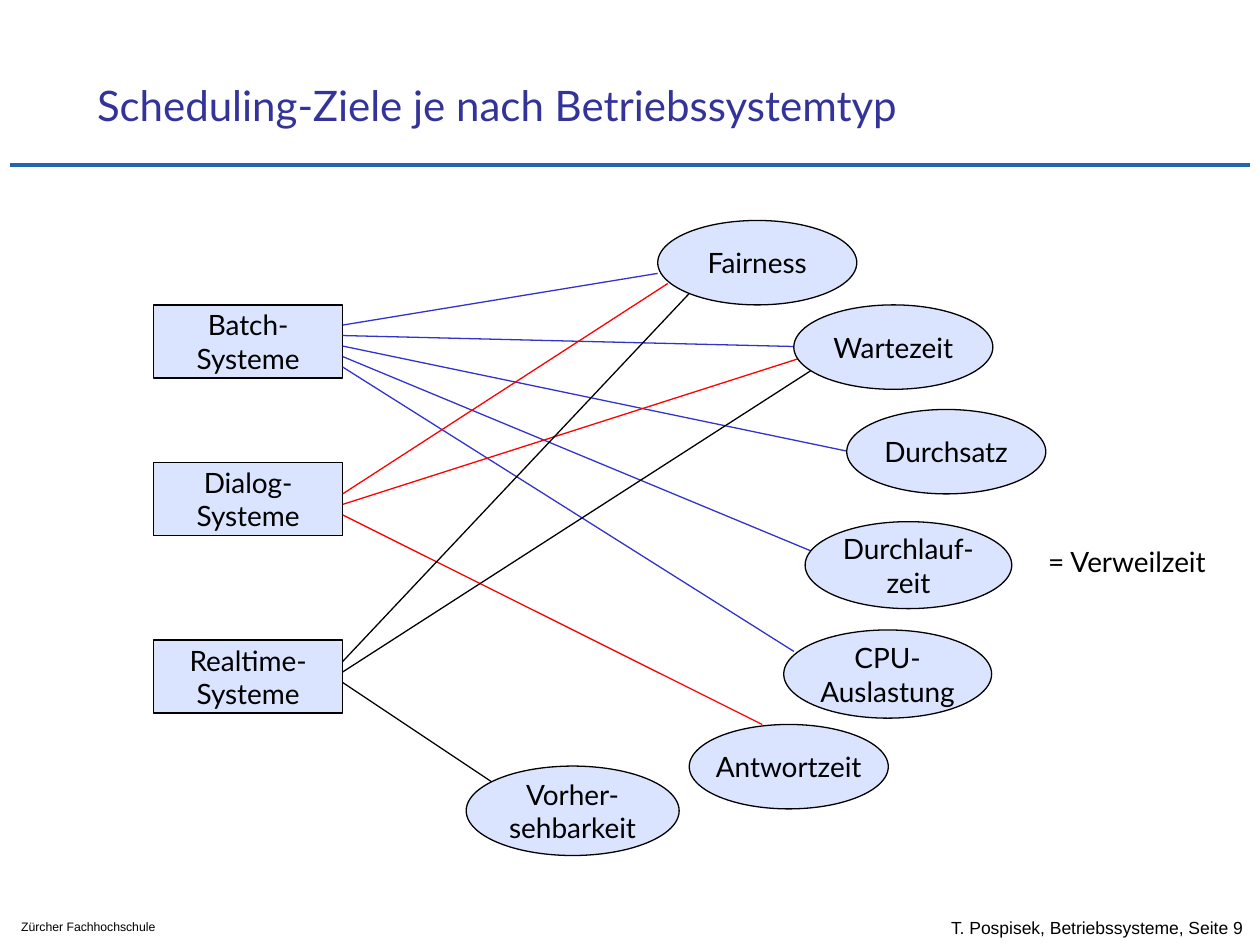
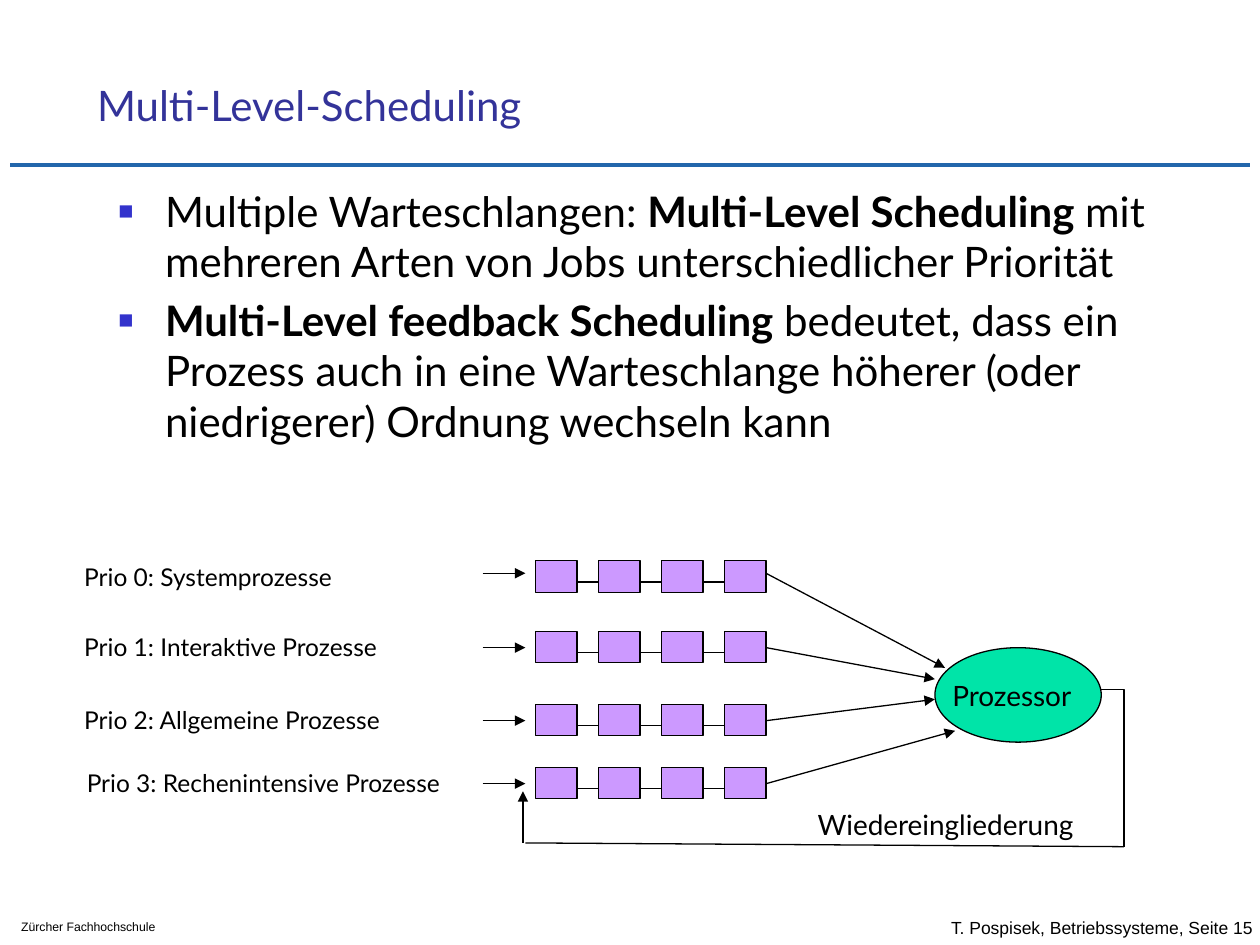
from dataclasses import dataclass

from lxml import etree
from pptx import Presentation
from pptx.dml.color import RGBColor
from pptx.enum.shapes import MSO_CONNECTOR, MSO_SHAPE
from pptx.enum.text import MSO_ANCHOR, MSO_AUTO_SIZE, PP_ALIGN
from pptx.oxml.ns import qn
from pptx.util import Inches, Pt

RECTANGLE, ELLIPSE = MSO_SHAPE.RECTANGLE, MSO_SHAPE.OVAL
STRAIGHT = MSO_CONNECTOR.STRAIGHT
TOP, MIDDLE, BOTTOM = MSO_ANCHOR.TOP, MSO_ANCHOR.MIDDLE, MSO_ANCHOR.BOTTOM
LEFT, CENTER = PP_ALIGN.LEFT, PP_ALIGN.CENTER
NO_AUTOFIT = MSO_AUTO_SIZE.NONE

BLACK = RGBColor(0x00, 0x00, 0x00)
RED = RGBColor(0xFF, 0x00, 0x00)
BLUE = RGBColor(0x33, 0x33, 0xCC)
TITLE_BLUE = RGBColor(0x33, 0x33, 0x99)
RULE_BLUE = RGBColor(0x22, 0x66, 0xAB)
PALE_BLUE = RGBColor(0xDA, 0xE4, 0xFF)
LILAC = RGBColor(0xCC, 0x99, 0xFF)
GREEN = RGBColor(0x00, 0xE4, 0xA8)

MAIN_FONT, FOOTER_FONT = "Lato", "Arial"
TITLE_ONLY, TITLE_AND_BODY = 5, 1


@dataclass(frozen=True)
class Goal:
    label: str
    left: float
    top: float
    width: float = 1.58
    height: float = 0.67


@dataclass(frozen=True)
class System:
    label: str
    top: float
    first_link: float
    color: RGBColor
    link_ends: tuple[tuple[float, float], ...]


@dataclass(frozen=True)
class Queue:
    label: str
    top: float
    arrow_y: float
    processor_end: tuple[float, float]
    label_left: float = 0.57


GOALS = (
    Goal("Fairness", 5.22, 1.75),
    Goal("Wartezeit", 6.3, 2.42),
    Goal("Durchsatz", 6.72, 3.25),
    Goal("Durchlauf-\nzeit", 6.39, 4.14, 1.64, 0.69),
    Goal("CPU-\nAuslastung", 6.22, 5, 1.65, 0.7),
    Goal("Antwortzeit", 5.47, 5.75),
    Goal("Vorher-\nsehbarkeit", 3.7, 6.08, 1.69, 0.71),
)
SYSTEMS = (
    System("Batch-\nSysteme", 2.42, 2.58, BLUE,
           ((5.22, 2.17), (6.3, 2.75), (6.72, 3.58), (6.55, 4.42), (6.3, 5.17))),
    System("Dialog-\nSysteme", 3.67, 3.92, RED,
           ((5.3, 2.25), (6.39, 2.83), (6.05, 5.75))),
    System("Realtime-\nSysteme", 5.08, 5.25, BLACK,
           ((5.47, 2.33), (6.47, 2.92), (3.97, 6.25))),
)
SYSTEM_LEFT, SYSTEM_WIDTH, SYSTEM_HEIGHT = 1.22, 1.5, 0.58
LINKS_PER_INCH = 12

QUEUES = (
    Queue("Prio 0: Systemprozesse", 4.45, 4.55, (7.5, 5.3)),
    Queue("Prio 1: Interaktive Prozesse", 5.01, 5.14, (7.42, 5.39)),
    Queue("Prio 2: Allgemeine Prozesse", 5.59, 5.72, (7.42, 5.55)),
    Queue("Prio 3: Rechenintensive Prozesse", 6.09, 6.22, (7.58, 5.8), 0.59),
)
JOB_LEFT, JOB_STEP, JOB_WIDTH, JOB_HEIGHT, JOB_COUNT = 4.25, 0.5, 0.33, 0.25, 4

# Each bullet is a list of (text, bold) spans
BULLETS = (
    (("Multiple Warteschlangen: ", False), ("Multi-Level Scheduling", True),
     (" mit mehreren Arten von Jobs unterschiedlicher Priorität", False)),
    (("Multi-Level feedback Scheduling", True),
     (" bedeutet, dass ein Prozess auch in eine Warteschlange höherer "
      "(oder niedrigerer) Ordnung wechseln kann", False)),
)


def add_span(para, text: str, *, size: float = 16, color: RGBColor = BLACK,
             font: str = MAIN_FONT, bold: bool = False) -> None:
    span = para.add_run()
    span.text = text
    span.font.size = Pt(size)
    span.font.name = font
    span.font.bold = bold
    span.font.color.rgb = color


def write(frame, text: str, *, align=LEFT, anchor=TOP, wrap: bool = False, **style) -> None:
    """Fill a text frame, one paragraph for each line of text."""
    frame.word_wrap = wrap
    frame.auto_size = NO_AUTOFIT
    frame.vertical_anchor = anchor
    for index, line in enumerate(text.split("\n")):
        para = frame.add_paragraph() if index else frame.paragraphs[0]
        para.alignment = align
        add_span(para, line, **style)


def place(shape, left: float, top: float, width: float, height: float) -> None:
    shape.left, shape.top = Inches(left), Inches(top)
    shape.width, shape.height = Inches(width), Inches(height)


def add_label(slide, text: str, left: float, top: float, width: float, height: float,
              **style) -> None:
    box = slide.shapes.add_textbox(Inches(left), Inches(top), Inches(width), Inches(height))
    write(box.text_frame, text, **style)


def add_box(slide, kind, left: float, top: float, width: float, height: float,
            fill: RGBColor, text: str = ""):
    box = slide.shapes.add_shape(kind, Inches(left), Inches(top), Inches(width), Inches(height))
    box.shadow.inherit = False
    box.fill.solid()
    box.fill.fore_color.rgb = fill
    box.line.color.rgb = BLACK
    box.line.width = Pt(0.75)
    if text:
        write(box.text_frame, text, align=CENTER, anchor=MIDDLE)
    return box


def add_line(slide, start: tuple[float, float], end: tuple[float, float], *,
             color: RGBColor = BLACK, width: float = 0.75, arrow: bool = False) -> None:
    line = slide.shapes.add_connector(STRAIGHT, *(Inches(value) for value in start + end))
    line.line.color.rgb = color
    line.line.width = Pt(width)
    properties = line._element.spPr
    if arrow:
        etree.SubElement(properties.find(qn("a:ln")), qn("a:tailEnd"), type="triangle")
    etree.SubElement(properties, qn("a:effectLst"))


def add_bullet(para) -> None:
    properties = para._p.get_or_add_pPr()
    properties.set("marL", str(Inches(0.38)))
    properties.set("indent", str(Inches(-0.37)))
    bullet_color = etree.SubElement(properties, qn("a:buClr"))
    etree.SubElement(bullet_color, qn("a:srgbClr"), val=str(BLUE))
    etree.SubElement(properties, qn("a:buSzPct"), val="60000")
    etree.SubElement(properties, qn("a:buFont"), typeface=FOOTER_FONT)
    etree.SubElement(properties, qn("a:buChar"), char="■")


def add_page(deck, layout: int, title: str, number: int):
    """Start a slide with the shared title, rule and footers."""
    slide = deck.slides.add_slide(deck.slide_layouts[layout])
    add_line(slide, (0.08, 1.31), (9.92, 1.31), color=RULE_BLUE, width=2.5)
    add_label(slide, f"T. Pospisek, Betriebssysteme, Seite {number}", 7.45, 7.2, 3.43, 0.33,
              anchor=MIDDLE, size=10, font=FOOTER_FONT)
    add_label(slide, "Zürcher Fachhochschule", 0.07, 7.25, 1.72, 0.22,
              size=7, font=FOOTER_FONT)
    place(slide.shapes.title, 0.67, 0.33, 8.52, 0.75)
    write(slide.shapes.title.text_frame, title, anchor=BOTTOM, wrap=True,
          size=24, color=TITLE_BLUE)
    return slide


def build_goals_slide(deck) -> None:
    slide = add_page(deck, TITLE_ONLY, "Scheduling-Ziele je nach Betriebssystemtyp", 9)
    # Systems and their links
    for system in SYSTEMS:
        add_box(slide, RECTANGLE, SYSTEM_LEFT, system.top, SYSTEM_WIDTH, SYSTEM_HEIGHT,
                PALE_BLUE, system.label)
        for index, end in enumerate(system.link_ends):
            start = (SYSTEM_LEFT + SYSTEM_WIDTH, system.first_link + index / LINKS_PER_INCH)
            add_line(slide, start, end, color=system.color)
    # Goals
    for goal in GOALS:
        add_box(slide, ELLIPSE, goal.left, goal.top, goal.width, goal.height,
                PALE_BLUE, goal.label)
    add_label(slide, "= Verweilzeit", 8.22, 4.27, 1.51, 0.37)


def add_queue(slide, queue: Queue) -> None:
    add_label(slide, queue.label, queue.label_left, queue.top - 0.04, 3.19, 0.33, size=14)
    add_line(slide, (3.83, queue.arrow_y), (4.17, queue.arrow_y), arrow=True)
    chain_y = queue.top + 0.17
    last_left = JOB_LEFT + (JOB_COUNT - 1) * JOB_STEP
    add_line(slide, (JOB_LEFT + JOB_WIDTH, chain_y), (last_left, chain_y))
    for index in range(JOB_COUNT):
        add_box(slide, RECTANGLE, JOB_LEFT + index * JOB_STEP, queue.top,
                JOB_WIDTH, JOB_HEIGHT, LILAC)
    add_line(slide, (last_left + JOB_WIDTH, queue.arrow_y), queue.processor_end, arrow=True)


def build_multi_level_slide(deck) -> None:
    slide = add_page(deck, TITLE_AND_BODY, "Multi-Level-Scheduling", 15)
    # Bullet list
    body = slide.placeholders[1]
    place(body, 0.83, 1.42, 8.5, 2.58)
    frame = body.text_frame
    frame.auto_size = NO_AUTOFIT
    for index, spans in enumerate(BULLETS):
        para = frame.add_paragraph() if index else frame.paragraphs[0]
        para.space_before = Pt(4.8 if index else 0)
        add_bullet(para)
        for text, bold in spans:
            add_span(para, text, size=24, bold=bold)
    # Queues
    for queue in QUEUES:
        add_queue(slide, queue)
    # Feedback path
    builder = slide.shapes.build_freeform(Inches(8.67), Inches(5.47))
    builder.add_line_segments([(Inches(8.92), Inches(5.47)), (Inches(8.92), Inches(6.72))],
                              close=False)
    elbow = builder.convert_to_shape()
    elbow.shadow.inherit = False
    elbow.fill.background()
    elbow.line.color.rgb = BLACK
    elbow.line.width = Pt(0.75)
    add_line(slide, (4.17, 6.69), (8.92, 6.72))
    add_line(slide, (4.15, 6.69), (4.15, 6.28), arrow=True)
    add_label(slide, "Wiedereingliederung", 6.39, 6.36, 2.39, 0.37)
    # Processor
    processor = add_box(slide, ELLIPSE, 7.42, 5.14, 1.32, 0.75, GREEN, "Prozessor")
    processor.text_frame.margin_left = 0


def main() -> None:
    deck = Presentation()
    deck.slide_width, deck.slide_height = Inches(10), Inches(7.5)
    build_goals_slide(deck)
    build_multi_level_slide(deck)
    deck.save("out.pptx")


if __name__ == "__main__":
    main()
